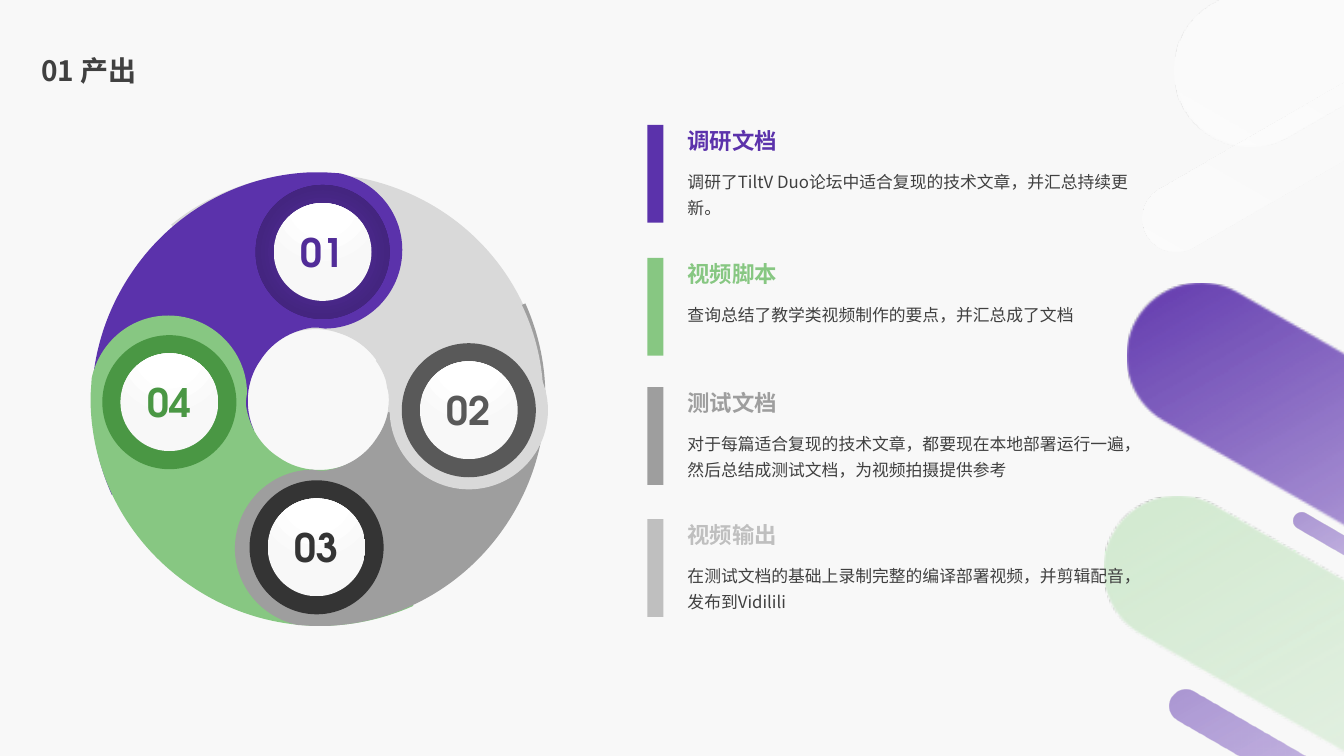
from pptx import Presentation
from pptx.dml.color import RGBColor
from pptx.enum.shapes import MSO_SHAPE
from pptx.enum.text import MSO_ANCHOR, PP_ALIGN
from pptx.oxml import parse_xml
from pptx.oxml.ns import nsdecls, qn
from pptx.util import Inches, Pt

COLORS = {
    "background": "F8F8F8", "text": "404040", "white": "FFFFFF",
    "purple": "5B32AB", "purple_mid": "5F34B2", "deep_purple": "512C98",
    "ring_purple": "442580", "dark_purple": "402378",
    "green": "87C782", "dark_green": "4A9744", "pale_green": "D0E9CE",
    "gray": "9E9E9E", "light_gray": "D9D9D9", "silver": "BFBFBF",
    "slate": "595959", "charcoal": "343434",
}
TEXT_FONT = "Noto Sans CJK SC"
HEADING_FONT = "TeX Gyre Adventor"

TITLE = "01 产出"
# heading, description, colour, top of the bar
OUTPUTS = [
    ("调研文档", "调研了TiltV Duo论坛中适合复现的技术文章，并汇总持续更新。", "purple", 1.24),
    ("视频脚本", "查询总结了教学类视频制作的要点，并汇总成了文档", "green", 2.56),
    ("测试文档", "对于每篇适合复现的技术文章，都要现在本地部署运行一遍，"
     "然后总结成测试文档，为视频拍摄提供参考", "gray", 3.84),
    ("视频输出", "在测试文档的基础上录制完整的编译部署视频，并剪辑配音，发布到Vidilili",
     "silver", 5.15),
]

# Gradient stops: position %, colour, opacity %
PURPLE_FADE = [(0, "purple", 100), (23, "purple_mid", 40), (85, "white", 50), (100, "white", 50)]
SOFT_PURPLE_FADE = [(0, "purple", 50)] + PURPLE_FADE[1:]
GREEN_FADE = [(0, "pale_green", 100), (22, "pale_green", 50), (85, "white", 50), (100, "white", 50)]
WHITE_FADE = [(0, "white", 50), (21, "white", 29), (85, "white", 0), (100, "white", 0)]
RING_FADE = [(0, "deep_purple", 100), (23, "deep_purple", 100),
             (69, "ring_purple", 100), (97, "dark_purple", 100)]
DISC_FADE = [(0, "white", 100), (35, "white", 100), (100, "background", 100)]

# box, rotation, mirrored, stops
BANDS = [
    ((9.9, 7.58, 20.55, 1.47), 210, True, PURPLE_FADE),
    ((10.96, -2.65, 11.87, 1.51), 330, False, WHITE_FADE),
    ((11.02, 0.68, 5.27, 0.67), 330, False, WHITE_FADE),
    ((9.68, 9.7, 20.55, 1.47), 210, True, GREEN_FADE),
    ((12.68, 5.65, 2.44, 0.17), 210, True, SOFT_PURPLE_FADE),
    ((11.31, 7.93, 4.69, 0.33), 210, True, SOFT_PURPLE_FADE),
]

# Petal outline from its top left: one point is a corner, three points are a curve
PETAL_SIZE = (3.08, 3.2)
PETAL = [
    [(2.31, 0)], [(2.46, 0.01)],
    [(2.82, 0.09), (3.08, 0.4), (3.08, 0.77)],
    [(3.08, 1.2), (2.73, 1.55), (2.31, 1.55)],
    [(2.24, 1.54)], [(2.19, 1.54)],
    [(1.98, 1.57), (1.79, 1.68), (1.67, 1.87)],
    [(1.53, 2.07), (1.51, 2.34), (1.61, 2.56)],
    [(0.2, 3.2)],
    [(-0.12, 2.49), (-0.05, 1.67), (0.38, 1.02)],
    [(0.78, 0.41), (1.44, 0.03), (2.17, 0)],
]
# petal left and top, rotation, colour, number, badge centre, ring colour
PETALS = [
    ((2.05, 1.51), 75, "light_gray", None, None, None),
    ((0.91, 1.71), 0, "purple", "01", (3.2, 2.5), "deep_purple"),
    ((0.96, 3.07), 270, "green", "04", (1.68, 3.99), "dark_green"),
    ((2.33, 3.01), 180, "gray", "03", (3.14, 5.43), "charcoal"),
]
LAST_BADGE = ("02", (4.65, 4.07), "slate")


def solid(shape, color):
    shape.shadow.inherit = False
    shape.line.fill.background()
    shape.fill.solid()
    shape.fill.fore_color.rgb = RGBColor.from_string(COLORS[color])
    return shape


def gradient(shape, stops, direction):
    """Swap the shape's solid fill for a gradient; direction is its a:lin or a:path XML."""
    stops_xml = "".join(
        f'<a:gs pos="{position * 1000}"><a:srgbClr val="{COLORS[color]}">'
        f'<a:alpha val="{opacity * 1000}"/></a:srgbClr></a:gs>'
        for position, color, opacity in stops)
    fill = parse_xml(f'<a:gradFill {nsdecls("a")} rotWithShape="1">'
                     f"<a:gsLst>{stops_xml}</a:gsLst>{direction}</a:gradFill>")
    properties = shape.element.spPr
    properties.replace(properties.find(qn("a:solidFill")), fill)


def circle_direction(top, bottom):
    return (f'<a:path path="circle"><a:fillToRect l="50000" t="{top * 1000}" '
            f'r="50000" b="{bottom * 1000}"/></a:path>')


def add_outline(shapes, box, steps, color, rotation):
    """A freeform that fills the box, its frame redrawn with straight and curved steps."""
    left, top, width, height = map(Inches, box)
    builder = shapes.build_freeform(0, 0)
    builder.add_line_segments([(width, 0), (width, height), (0, height)], close=True)
    outline = solid(builder.convert_to_shape(left, top), color)
    outline.rotation = rotation

    drawing = next(outline.element.spPr.iter(qn("a:pathLst")))[0]
    for child in list(drawing):
        drawing.remove(child)
    for index, step in enumerate(steps):
        tag = "moveTo" if index == 0 else "lnTo" if len(step) == 1 else "cubicBezTo"
        points = "".join(f'<a:pt x="{Inches(x)}" y="{Inches(y)}"/>' for x, y in step)
        drawing.append(parse_xml(f'<a:{tag} {nsdecls("a")}>{points}</a:{tag}>'))
    drawing.append(parse_xml(f'<a:close {nsdecls("a")}/>'))
    return outline


def add_band(shapes, box, rotation, mirrored, stops):
    """A bar with a rounded left end."""
    width, height = box[2:]
    radius = height / 2
    near, far = radius * 0.45, radius * 1.55
    steps = [[(radius, 0)], [(width, 0)], [(width, height)], [(radius, height)],
             [(near, height), (0, far), (0, radius)],
             [(0, near), (near, 0), (radius, 0)]]
    band = add_outline(shapes, box, steps, stops[0][1], rotation)
    if mirrored:
        band.element.spPr.find(qn("a:xfrm")).set("flipH", "1")
    gradient(band, stops, f'<a:lin ang="{330 * 60000}" scaled="0"/>')


def add_circle(shapes, center, diameter, color):
    x, y = (Inches(value - diameter / 2) for value in center)
    size = Inches(diameter)
    return solid(shapes.add_shape(MSO_SHAPE.OVAL, x, y, size, size), color)


def style_text(text_frame, text, size, color, font, bold=False):
    text_frame.text = text
    run = text_frame.paragraphs[0].runs[0]
    run.font.size = Pt(size)
    run.font.bold = bold
    run.font.name = font
    run.font.color.rgb = RGBColor.from_string(COLORS[color])
    run.font._element.find(qn("a:latin")).addnext(
        parse_xml(f'<a:ea {nsdecls("a")} typeface="{TEXT_FONT}"/>'))
    return text_frame.paragraphs[0]


def add_badge(shapes, number, center, color):
    ring = add_circle(shapes, center, 1.33, color)
    if color == "deep_purple":
        gradient(ring, RING_FADE, circle_direction(50, 50))
    disc = add_circle(shapes, center, 0.97, "white")
    gradient(disc, DISC_FADE, circle_direction(-80, 180))
    frame = disc.text_frame
    frame.vertical_anchor = MSO_ANCHOR.MIDDLE
    style_text(frame, number, 28, color, HEADING_FONT, True).alignment = PP_ALIGN.CENTER


def add_text(shapes, box, text, size, color, font, bold=False, wrap=True, spacing=1.3):
    frame = shapes.add_textbox(*map(Inches, box)).text_frame
    frame.word_wrap = wrap
    style_text(frame, text, size, color, font, bold).line_spacing = spacing
    return frame


def main():
    presentation = Presentation()
    presentation.slide_width, presentation.slide_height = Inches(13.33), Inches(7.5)
    slide = presentation.slides.add_slide(presentation.slide_layouts[6])
    slide.background.fill.solid()
    slide.background.fill.fore_color.rgb = RGBColor.from_string(COLORS["background"])
    shapes = slide.shapes

    for band in BANDS:
        add_band(shapes, *band)
    title = add_text(shapes, (0.31, 0.43, 4.99, 0.58), TITLE, 20, "text", TEXT_FONT, True, spacing=0.9)
    title.vertical_anchor = MSO_ANCHOR.MIDDLE

    for corner, rotation, color, number, badge_center, ring_color in PETALS:
        add_outline(shapes, corner + PETAL_SIZE, PETAL, color, rotation)
        if number:
            add_badge(shapes, number, badge_center, ring_color)

    for heading, description, color, top in OUTPUTS:
        add_text(shapes, (6.72, top + 0.35, 4.59, 0.6), description, 12, "text", TEXT_FONT)
        add_text(shapes, (6.72, top - 0.11, 1.1, 0.42), heading, 16, color, HEADING_FONT, True, False)
        bar = map(Inches, (6.42, top, 0.16, 0.97))
        solid(shapes.add_shape(MSO_SHAPE.RECTANGLE, *bar), color)

    arc_box = map(Inches, (1.01, 1.78, 4.38, 4.38))
    arc = solid(shapes.add_shape(MSO_SHAPE.BLOCK_ARC, *arc_box), "light_gray")
    for index, value in enumerate((194.03, 6.13, 0.35)):
        arc.adjustments[index] = value
    add_circle(shapes, LAST_BADGE[1], 1.57, "light_gray")
    add_badge(shapes, *LAST_BADGE)
    presentation.save("out.pptx")


if __name__ == "__main__":
    main()
